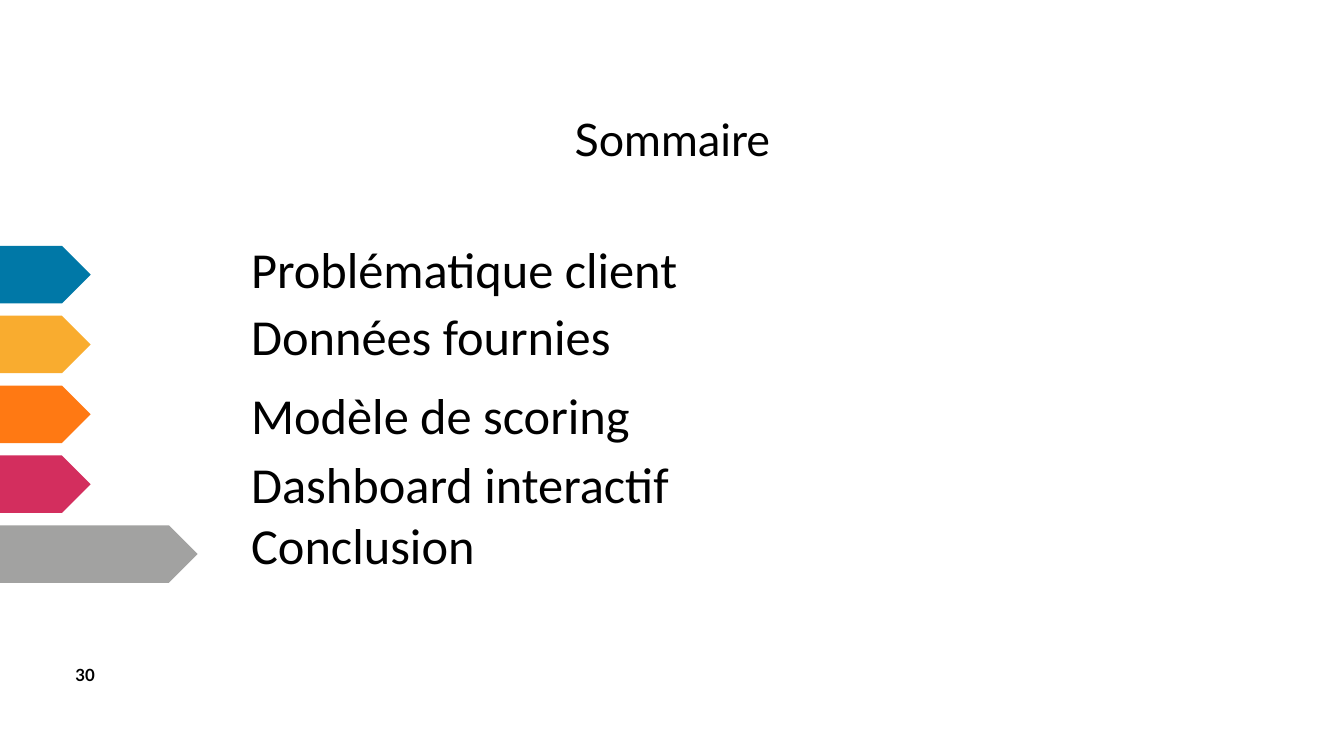
from dataclasses import dataclass

from pptx import Presentation
from pptx.dml.color import RGBColor
from pptx.enum.shapes import MSO_SHAPE
from pptx.enum.text import MSO_ANCHOR, MSO_AUTO_SIZE, PP_ALIGN
from pptx.util import Emu, Inches, Pt


@dataclass(frozen=True)
class Theme:
    text: str = "000000"
    title_font: str = "Lato"
    item_font: str = "Calibri"
    title_size: int = 32
    item_size: int = 36
    number_size: int = 12
    blue: str = "0078A7"
    yellow: str = "F9AC2F"
    orange: str = "FF7913"
    red: str = "D32E5E"
    grey: str = "A2A2A1"


@dataclass(frozen=True)
class Box:
    """A rectangle in percent of the slide's width and height."""
    left: float
    top: float
    width: float
    height: float


@dataclass(frozen=True)
class Item:
    label: str
    color: str
    label_top: float
    label_width: float = 39
    arrow_left: float = 0
    arrow_right: float = 6.75


THEME = Theme()
FIRST_ROW, ROW_STEP, ARROW_HEIGHT = 32.53, 9.24, 7.6
LABEL_LEFT, LABEL_HEIGHT = 18.68, 6.67
TITLE_BOX = Box(14.7, 15.2, 70.67, 7.2)
NUMBER_BOX = Box(4.88, 87.33, 3, 4)

ITEMS = [
    Item("Problématique client", THEME.blue, 33.07),
    Item("Données fournies", THEME.yellow, 41.87),
    Item("Modèle de scoring", THEME.orange, 52.4, label_width=34.8, arrow_left=-0.15),
    Item("Dashboard interactif", THEME.red, 61.47, arrow_left=-0.15),
    Item("Conclusion", THEME.grey, 69.6, arrow_right=14.7),
]

prs = Presentation()
prs.slide_width, prs.slide_height = Inches(13.33), Inches(7.5)


def place(box: Box) -> tuple[Emu, Emu, Emu, Emu]:
    w, h = prs.slide_width / 100, prs.slide_height / 100
    return (Emu(round(box.left * w)), Emu(round(box.top * h)),
            Emu(round(box.width * w)), Emu(round(box.height * h)))


def write(tf, text: str, font: str, size: int, bold: bool = False):
    p = tf.paragraphs[0]
    p.text = text
    p.font.name, p.font.size, p.font.bold = font, Pt(size), bold
    p.font.color.rgb = RGBColor.from_string(THEME.text)
    return p


def draw_title(s, text: str) -> None:
    sp = s.shapes.title
    sp.left, sp.top, sp.width, sp.height = place(TITLE_BOX)
    tf = sp.text_frame
    tf.vertical_anchor = MSO_ANCHOR.MIDDLE
    tf.auto_size = MSO_AUTO_SIZE.NONE
    p = write(tf, text, THEME.title_font, THEME.title_size)
    p.alignment, p.line_spacing = PP_ALIGN.CENTER, 0.9


def draw_arrow(s, item: Item, row: int) -> None:
    box = Box(item.arrow_left, FIRST_ROW + row * ROW_STEP,
              item.arrow_right - item.arrow_left, ARROW_HEIGHT)
    sp = s.shapes.add_shape(MSO_SHAPE.PENTAGON, *place(box))
    sp.shadow.inherit = False
    sp.fill.solid()
    sp.fill.fore_color.rgb = RGBColor.from_string(item.color)
    sp.line.fill.background()


def draw_label(s, item: Item) -> None:
    box = Box(LABEL_LEFT, item.label_top, item.label_width, LABEL_HEIGHT)
    tf = s.shapes.add_textbox(*place(box)).text_frame
    tf.word_wrap = True
    tf.auto_size = MSO_AUTO_SIZE.SHAPE_TO_FIT_TEXT
    tf.margin_left = tf.margin_right = tf.margin_top = tf.margin_bottom = 0
    p = write(tf, item.label, THEME.item_font, THEME.item_size)
    p.line_spacing = 0.8


def draw_number(s, text: str) -> None:
    tf = s.shapes.add_textbox(*place(NUMBER_BOX)).text_frame
    tf.word_wrap = False
    tf.auto_size = MSO_AUTO_SIZE.SHAPE_TO_FIT_TEXT
    write(tf, text, THEME.title_font, THEME.number_size, bold=True)


def main() -> None:
    s = prs.slides.add_slide(prs.slide_layouts[5])

    # Page number and title
    draw_number(s, "30")
    draw_title(s, "Sommaire")

    # Agenda: arrows at the left edge, then their labels
    for row, item in enumerate(ITEMS):
        draw_arrow(s, item, row)
    for item in ITEMS:
        draw_label(s, item)

    prs.save("out.pptx")


if __name__ == "__main__":
    main()
